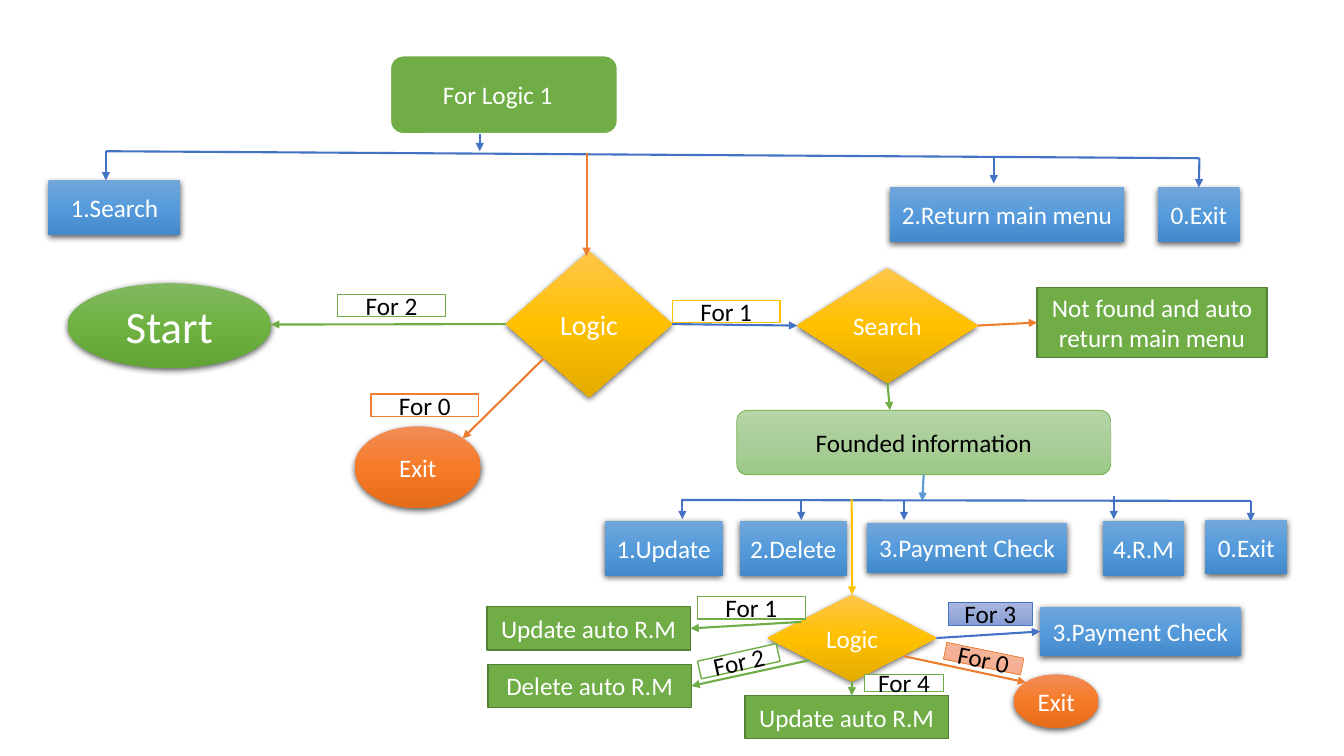
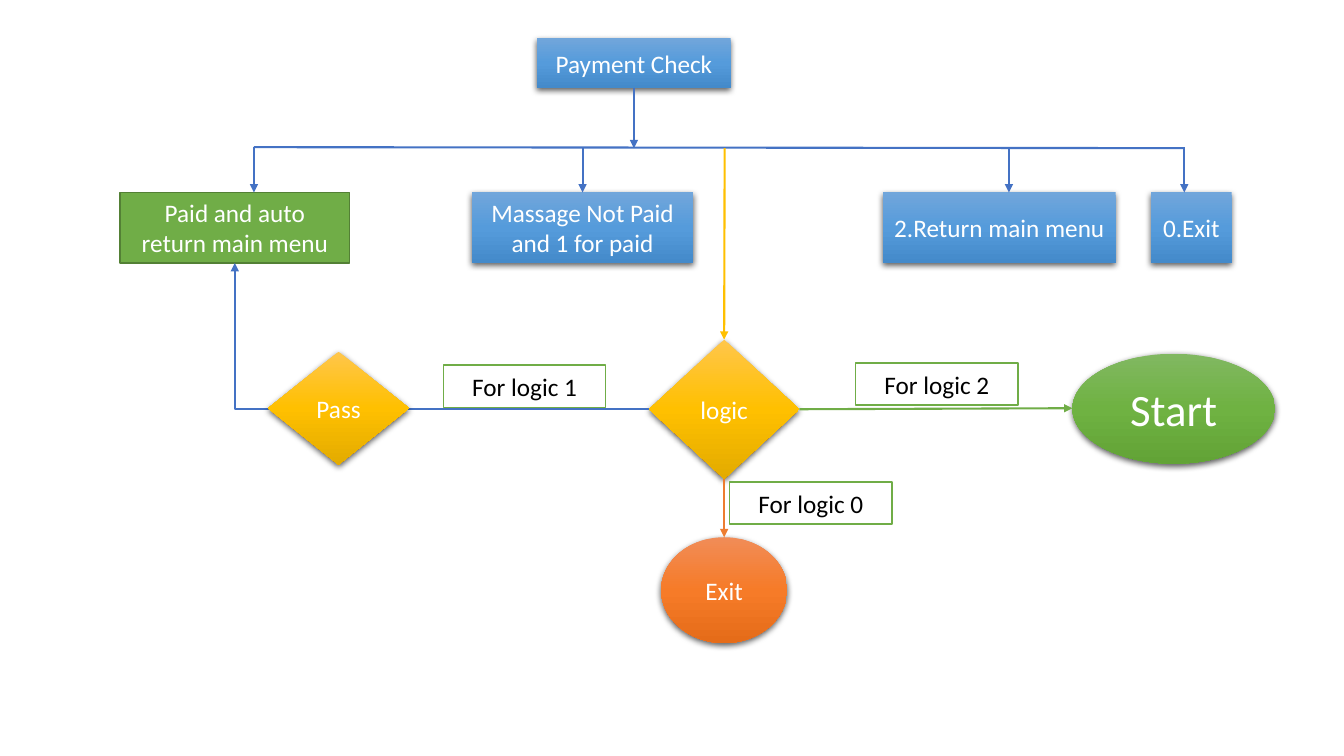
"""Build two flowchart slides of a menu program: search logic and payment check."""
from copy import deepcopy
from dataclasses import dataclass
from typing import NamedTuple

from lxml import etree
from pptx import Presentation
from pptx import util as u
from pptx.dml.color import RGBColor
from pptx.enum import shapes, text
from pptx.oxml.ns import qn

SHAPE = shapes.MSO_SHAPE
TOP, LEFT, BOTTOM, RIGHT = range(4)
CM_PER_INCH = 2.54


class Look(NamedTuple):
    shape: shapes.MSO_SHAPE
    fill: tuple[str, ...]
    line: str | None = None
    width: float = 1
    ink: str = "FFFFFF"
    shadow: bool = False


@dataclass(frozen=True)
class Theme:
    font: str = "Calibri"
    body: int = 18
    medium: int = 20
    large: int = 32
    link_width: float = 1.5
    white: str = "FFFFFF"
    black: str = "000000"
    blue: str = "4472C4"
    sky: str = "5B9BD5"
    green: str = "70AD47"
    dark_green: str = "538035"
    orange: str = "ED7D31"
    amber: str = "FFC000"
    blue_fade: tuple[str, ...] = ("71A6DB", "559BDB", "448ACA")
    amber_fade: tuple[str, ...] = ("FFC64B", "FFC000", "E3AB00")
    orange_fade: tuple[str, ...] = ("F18C57", "F67B28", "E56C19")
    green_fade: tuple[str, ...] = ("81B861", "6FB242", "62A336")
    pale_green: tuple[str, ...] = ("B5D5A7", "AACE9A", "9CC987")
    pale_orange: tuple[str, ...] = ("F7BDA5", "F5B196", "F8A582")
    pale_blue: tuple[str, ...] = ("A8B7DF", "9AABD9", "889ED7")


T = Theme()


def label(line: str, fill: tuple[str, ...] = (T.white,), width: float = 1) -> Look:
    return Look(SHAPE.RECTANGLE, fill, line, width, T.black)


HEADER = Look(SHAPE.ROUNDED_RECTANGLE, (T.green,), T.white, 1.5)
STEP = Look(SHAPE.RECTANGLE, T.blue_fade, shadow=True)
CHOICE = Look(SHAPE.DIAMOND, T.amber_fade, shadow=True)
EXIT = Look(SHAPE.OVAL, T.orange_fade, shadow=True)
START = Look(SHAPE.OVAL, T.green_fade, shadow=True)
RESULT = Look(SHAPE.RECTANGLE, (T.green,), T.dark_green)
FOUND = Look(SHAPE.ROUNDED_RECTANGLE, T.pale_green, T.green, 0.5, T.black)
GREEN_LABEL = label(T.green)


@dataclass(frozen=True)
class Node:
    text: str
    look: Look
    x: float
    y: float
    w: float
    h: float
    size: int = T.body
    key: str = ""
    angle: float = 0
    right_inset: float = 0.1


Point = tuple[float, float] | tuple[str, int]


@dataclass(frozen=True)
class Link:
    start: Point
    end: Point
    color: str = T.blue
    arrow: bool = True
    bent: bool = False


def length(inches: float) -> u.Length:
    return u.Cm(inches * CM_PER_INCH)


def rgb(color: str) -> RGBColor:
    return RGBColor.from_string(color)


def paint(sp, colors: tuple[str, ...]) -> None:
    if len(colors) == 1:
        sp.fill.solid()
        sp.fill.fore_color.rgb = rgb(colors[0])
        return
    sp.fill.gradient()
    sp.fill.gradient_angle = 270
    stops = sp._element.spPr.find(".//" + qn("a:gsLst"))
    stops.insert(1, deepcopy(stops[0]))
    for i, (stop, color) in enumerate(zip(sp.fill.gradient_stops, colors)):
        stop.position = i / (len(colors) - 1)
        stop.color.rgb = rgb(color)


def add_shadow(sp) -> None:
    effects = sp._element.spPr.find(qn("a:effectLst"))
    shadow = etree.SubElement(effects, qn("a:outerShdw"), blurRad=str(u.Pt(4.5)),
                              dist=str(u.Pt(1.5)), dir="5400000", rotWithShape="0")
    color = etree.SubElement(shadow, qn("a:srgbClr"), val=T.black)
    etree.SubElement(color, qn("a:alpha"), val="63000")


def draw_node(slide, node: Node):
    look = node.look
    sp = slide.shapes.add_shape(look.shape, *map(length, (node.x, node.y, node.w, node.h)))
    sp.rotation = node.angle
    paint(sp, look.fill)
    if look.line:
        sp.line.color.rgb = rgb(look.line)
        sp.line.width = u.Pt(look.width)
    else:
        sp.line.fill.background()
    sp.shadow.inherit = False
    if look.shadow:
        add_shadow(sp)
    tf = sp.text_frame
    tf.text = node.text
    tf.word_wrap = True
    tf.margin_right = length(node.right_inset)
    tf.vertical_anchor = text.MSO_ANCHOR.MIDDLE
    p = tf.paragraphs[0]
    p.alignment = text.PP_ALIGN.CENTER
    font = p.runs[0].font
    font.name, font.size = T.font, u.Pt(node.size)
    font.color.rgb = rgb(look.ink)
    return sp


def locate(point: Point, drawn: dict) -> tuple[int, int]:
    if not isinstance(point[0], str):
        return length(point[0]), length(point[1])
    sp, side = drawn[point[0]], point[1]
    dx, dy = ((0.5, 0), (0, 0.5), (0.5, 1), (1, 0.5))[side]
    return sp.left + round(sp.width * dx), sp.top + round(sp.height * dy)


def draw_link(slide, link: Link, drawn: dict) -> None:
    kind = shapes.MSO_CONNECTOR.ELBOW if link.bent else shapes.MSO_CONNECTOR.STRAIGHT
    cx = slide.shapes.add_connector(kind, *locate(link.start, drawn), *locate(link.end, drawn))
    if isinstance(link.start[0], str):
        cx.begin_connect(drawn[link.start[0]], link.start[1])
    if isinstance(link.end[0], str):
        cx.end_connect(drawn[link.end[0]], link.end[1])
    cx.line.color.rgb = rgb(link.color)
    cx.line.width = u.Pt(T.link_width)
    props = cx._element.spPr
    if link.bent:
        props.find(qn("a:prstGeom")).set("prst", "bentConnector2")
    if link.arrow:
        etree.SubElement(props.find(qn("a:ln")), qn("a:tailEnd"), type="triangle")
    etree.SubElement(props, qn("a:effectLst"))


def draw_slide(prs, items: list[Node | Link]) -> None:
    slide = prs.slides.add_slide(prs.slide_layouts[6])
    drawn = {}
    for item in items:
        if isinstance(item, Node):
            drawn[item.key or item.text] = draw_node(slide, item)
        else:
            draw_link(slide, item, drawn)


def drops(*ends: tuple[float, float, float]) -> list[Link]:
    return [Link((x, y), (x, bottom)) for x, y, bottom in ends]


SEARCH_LOGIC = [
    Node("For Logic 1", HEADER, 3.87, 0.55, 2.26, 0.78, right_inset=0.22),
    Node("1.Search", STEP, 0.48, 1.79, 1.31, 0.54),
    Node("2.Return main menu", STEP, 8.83, 1.86, 2.32, 0.54),
    Node("0.Exit", STEP, 11.49, 1.86, 0.81, 0.54, key="menu exit"),
    Node("Logic", CHOICE, 5.02, 2.49, 1.65, 1.45, T.medium, key="menu logic"),
    Node("Exit", EXIT, 3.52, 4.23, 1.25, 0.81),
    Node("Start", START, 0.67, 2.81, 2.02, 0.84, T.large),
    Node("Search", CHOICE, 7.91, 2.66, 1.79, 1.14),
    Node("Not found and auto return main menu", RESULT, 10.29, 2.85, 2.28, 0.7, key="not found"),
    Node("Founded information", FOUND, 7.31, 4.07, 3.71, 0.64, key="found"),
    Node("1.Update", STEP, 6, 5.17, 1.17, 0.54),
    Node("2.Delete", STEP, 7.34, 5.17, 1.06, 0.54),
    Node("3.Payment Check", STEP, 8.6, 5.19, 1.99, 0.49),
    Node("4.R.M", STEP, 10.94, 5.17, 0.81, 0.54),
    Node("0.Exit", STEP, 11.96, 5.16, 0.81, 0.54, key="record exit"),
    Node("Logic", CHOICE, 7.62, 5.9, 1.67, 0.86, key="record logic"),
    Node("Update auto R.M", RESULT, 4.83, 6.02, 2.02, 0.43, key="update"),
    Node("Delete auto R.M", RESULT, 4.84, 6.59, 2.02, 0.43, key="delete"),
    Node("Update auto R.M", RESULT, 7.39, 6.9, 2.02, 0.43, key="return"),
    Node("3.Payment Check", STEP, 10.32, 6.02, 1.99, 0.49, key="payment"),
    Node("Exit", EXIT, 10.06, 6.69, 0.84, 0.53, key="record stop"),
    Link((1.05, 1.5), (11.9, 1.57), arrow=False),
    *drops((4.76, 1.33, 1.5), (1.05, 1.5, 1.79), (9.86, 1.57, 1.82)),
    Link((11.9, 1.57), ("menu exit", TOP)),
    Link((5.82, 1.52), (5.82, 2.54), T.orange),
    Link((5.39, 3.56), (4.59, 4.35), T.orange),
    Link(("menu logic", LEFT), (2.69, 3.22), T.green),
    Link(("menu logic", RIGHT), ("Search", LEFT)),
    Link(("Search", RIGHT), ("not found", LEFT), T.orange),
    Link(("Search", BOTTOM), (8.83, 4.07), T.green),
    Link(("found", BOTTOM), (9.15, 4.97), T.sky),
    Link((6.76, 4.96), (12.41, 4.97), arrow=False),
    *drops((6.77, 4.95, 5.15), (7.95, 4.97, 5.16), (8.97, 4.97, 5.16),
           (11.05, 4.92, 5.15), (12.41, 4.97, 5.17)),
    Link((8.45, 4.95), ("record logic", TOP), T.amber),
    Link((7.95, 6.17), ("update", RIGHT), T.green),
    Link((8.03, 6.55), ("delete", RIGHT), T.green),
    Link(("record logic", BOTTOM), (8.45, 6.9), T.green),
    Link((8.97, 6.51), (10.18, 6.77), T.orange),
    Link(("record logic", RIGHT), ("payment", LEFT)),
    Node("For 0", label(T.orange), 3.68, 3.91, 1.07, 0.22),
    Node("For 2", GREEN_LABEL, 3.35, 2.92, 1.07, 0.22),
    Node("For 1", label(T.amber), 6.67, 2.98, 1.07, 0.22),
    Node("For 1", GREEN_LABEL, 6.92, 5.92, 1.07, 0.22),
    Node("For 2", GREEN_LABEL, 6.93, 6.47, 0.8, 0.18, angle=347.4),
    Node("For 4", GREEN_LABEL, 8.58, 6.69, 0.78, 0.17),
    Node("For 0", label(T.orange, T.pale_orange, 0.5), 9.37, 6.45, 0.78, 0.17, angle=11.6),
    Node("For 3", label(T.blue, T.pale_blue, 0.5), 9.41, 5.98, 0.83, 0.22),
]

PAYMENT_CHECK = [
    Node("Payment Check", STEP, 5.33, 0.38, 1.92, 0.49),
    Node("Paid and auto return main menu", RESULT, 1.19, 1.91, 2.28, 0.7, key="paid"),
    Node("Massage Not Paid and 1 for paid", STEP, 4.68, 1.91, 2.2, 0.7, key="not paid"),
    Node("2.Return main menu", STEP, 8.76, 1.91, 2.31, 0.7),
    Node("0.Exit", STEP, 11.42, 1.91, 0.8, 0.7),
    Node("Exit", EXIT, 6.56, 5.33, 1.25, 1.05),
    Node("Start", START, 10.64, 3.51, 2.01, 1.09, T.large),
    Node("logic", CHOICE, 6.44, 3.37, 1.49, 1.38),
    Link((2.52, 1.46), (11.75, 1.47), arrow=False),
    Link(("Payment Check", BOTTOM), (6.29, 1.47)),
    *drops((2.52, 1.46, 1.91), (10.01, 1.46, 1.91), (11.75, 1.46, 1.91)),
    Link((5.78, 1.47), ("not paid", TOP)),
    Link(("logic", LEFT), ("paid", BOTTOM), bent=True),
    Link(("logic", RIGHT), (10.64, 4.05), T.green),
    Link(("logic", BOTTOM), ("Exit", TOP), T.orange),
    Node("For logic 1", GREEN_LABEL, 4.4, 3.62, 1.61, 0.42),
    Node("For logic 2", GREEN_LABEL, 8.49, 3.6, 1.61, 0.42),
    Node("For logic 0", GREEN_LABEL, 7.24, 4.78, 1.61, 0.42),
    Link((7.19, 1.47), ("logic", TOP), T.amber),
    Node("Pass", CHOICE, 2.66, 3.49, 1.4, 1.12),
]


def main() -> None:
    prs = Presentation()
    prs.slide_width, prs.slide_height = u.Cm(33.87), u.Cm(19.05)
    for items in (SEARCH_LOGIC, PAYMENT_CHECK):
        draw_slide(prs, items)
    prs.save("out.pptx")


if __name__ == "__main__":
    main()
